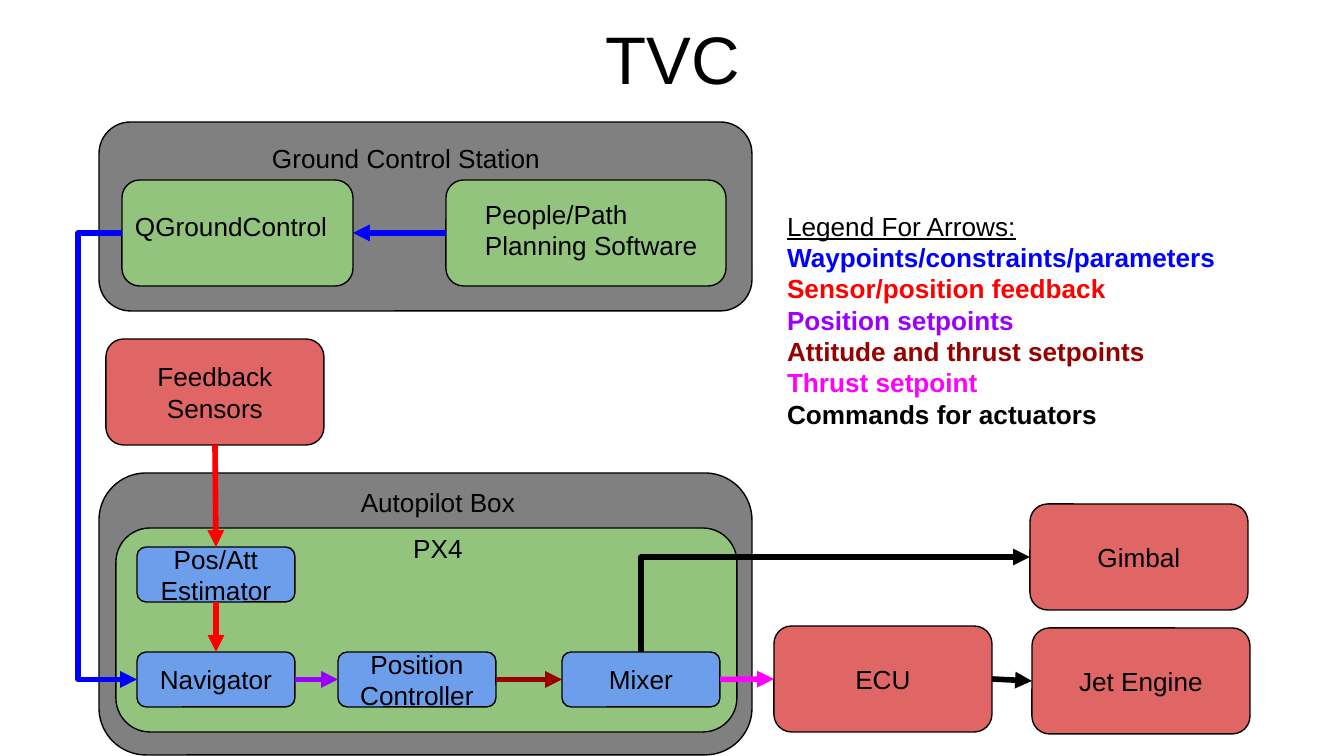
from lxml import etree
from pptx import Presentation
from pptx.dml.color import RGBColor
from pptx.enum.shapes import MSO_CONNECTOR, MSO_SHAPE
from pptx.enum.text import MSO_ANCHOR, MSO_AUTO_SIZE, PP_ALIGN
from pptx.oxml.ns import qn
from pptx.util import Pt

ROUNDED = MSO_SHAPE.ROUNDED_RECTANGLE
STRAIGHT, ELBOW = MSO_CONNECTOR.STRAIGHT, MSO_CONNECTOR.ELBOW
TOP_ANCHOR, MIDDLE_ANCHOR = MSO_ANCHOR.TOP, MSO_ANCHOR.MIDDLE
ALIGN_LEFT, ALIGN_CENTER = PP_ALIGN.LEFT, PP_ALIGN.CENTER
NO_AUTOFIT = MSO_AUTO_SIZE.NONE
TOP, LEFT, BOTTOM, RIGHT = range(4)

FONT = "Arial"
BLACK, GRAY, GREEN = "000000", "808080", "93C47D"
CORAL, SKY = "E06666", "6D9EEB"
BLUE, RED, PURPLE = "0000FF", "FF0000", "9900FF"
MAROON, MAGENTA = "980000", "FF00FF"
DEVICE_SIZE = (218, 106)
MODULE_SIZE = (158, 55)
MODULE_ROW = 652

LEGEND = [
    ("Waypoints/constraints/parameters", BLUE),
    ("Sensor/position feedback", RED),
    ("Position setpoints", PURPLE),
    ("Attitude and thrust setpoints", MAROON),
    ("Thrust setpoint", MAGENTA),
    ("Commands for actuators", BLACK),
]


def px(value):
    """Turn pixels into EMU."""
    return round(value * 914400 / 134.4)


def color(value):
    """Turn a hex string into a colour."""
    return RGBColor.from_string(value)


def add_run(paragraph, text, size=14, fill=BLACK, bold=False, underline=False):
    """Add one formatted run to a paragraph."""
    run = paragraph.add_run()
    run.text = text
    font = run.font
    font.name, font.size = FONT, Pt(size)
    font.bold, font.underline = bold, underline
    font.color.rgb = color(fill)


def prepare_frame(shape, anchor=TOP_ANCHOR):
    """Set wrapping, insets and anchor, and return the text frame."""
    frame = shape.text_frame
    frame.word_wrap = True
    frame.auto_size = NO_AUTOFIT
    frame.vertical_anchor = anchor
    frame.margin_left = frame.margin_right = px(13)
    frame.margin_top = frame.margin_bottom = px(13)
    return frame


def add_box(slide, position, size, fill, text=""):
    """Add a rounded box with an optional centred label."""
    shape = slide.shapes.add_shape(ROUNDED, *map(px, position + size))
    shape.shadow.inherit = False
    shape.fill.solid()
    shape.fill.fore_color.rgb = color(fill)
    shape.line.color.rgb = color(BLACK)
    shape.line.width = Pt(0.75)
    if text:
        paragraph = prepare_frame(shape, MIDDLE_ANCHOR).paragraphs[0]
        paragraph.alignment = ALIGN_CENTER
        add_run(paragraph, text)
    return shape


def add_label(slide, position, size, text, alignment=ALIGN_LEFT):
    """Add a one-paragraph text box."""
    box = slide.shapes.add_textbox(*map(px, position + size))
    paragraph = prepare_frame(box).paragraphs[0]
    paragraph.alignment = alignment
    add_run(paragraph, text)


def add_arrow(slide, start, start_side, end, end_side, stroke, kind=STRAIGHT):
    """Join two boxes with an arrow."""
    connector = slide.shapes.add_connector(kind, 0, 0, 0, 0)
    connector.begin_connect(start, start_side)
    connector.end_connect(end, end_side)
    connector.line.color.rgb = color(stroke)
    connector.line.width = Pt(3)
    properties = connector._element.spPr
    line = properties.find(qn("a:ln"))
    etree.SubElement(line, qn("a:tailEnd"), type="triangle")
    etree.SubElement(properties, qn("a:effectLst"))
    return connector


def route_around_left(connector, middle):
    """Move the middle leg of an elbow arrow to a given x."""
    ratio = (px(middle) - connector.begin_x) / connector.width
    geometry = connector._element.spPr.find(qn("a:prstGeom"))
    guides = geometry.find(qn("a:avLst"))
    if guides is None:
        guides = etree.SubElement(geometry, qn("a:avLst"))
    formula = f"val {round(ratio * 100000)}"
    etree.SubElement(guides, qn("a:gd"), name="adj1", fmla=formula)


def route_up_then_right(connector):
    """Give an elbow arrow a single corner, going up and then right."""
    center_x = connector.left + connector.width // 2
    center_y = connector.top + connector.height // 2
    width, height = connector.height, connector.width
    connector.left, connector.top = center_x - width // 2, center_y - height // 2
    connector.width, connector.height = width, height
    properties = connector._element.spPr
    transform = properties.find(qn("a:xfrm"))
    transform.attrib.pop("flipV", None)
    transform.set("rot", str(270 * 60000))
    properties.find(qn("a:prstGeom")).set("prst", "bentConnector2")


def add_title(slide):
    """Place and format the title."""
    title = slide.shapes.title
    title.left, title.top, title.width, title.height = map(px, (288, 4, 769, 101))
    paragraph = prepare_frame(title).paragraphs[0]
    paragraph.alignment = ALIGN_CENTER
    add_run(paragraph, "TVC", size=36)


def add_legend(slide):
    """Add the legend with one coloured line per arrow meaning."""
    box = slide.shapes.add_textbox(*map(px, (774, 197, 491, 227)))
    frame = prepare_frame(box)
    add_run(frame.paragraphs[0], "Legend For Arrows:", underline=True)
    for text, fill in LEGEND:
        add_run(frame.add_paragraph(), text, fill=fill, bold=True)


def main():
    """Build the control diagram slide."""
    presentation = Presentation()
    presentation.slide_width, presentation.slide_height = px(1344), px(756)
    slide = presentation.slides.add_slide(presentation.slide_layouts[5])
    add_title(slide)

    add_box(slide, (99, 122), (653, 189), GRAY)
    add_label(slide, (259, 129), (316, 42), "Ground Control Station")
    ground_control = add_box(slide, (122, 180), (231, 106), GREEN)
    planning = add_box(slide, (446, 180), (280, 106), GREEN)
    add_label(slide, (122, 197), (231, 71), "QGroundControl")
    add_label(slide, (472, 185), (254, 71), "People/Path Planning Software")

    add_box(slide, (99, 473), (653, 282), GRAY)
    add_box(slide, (116, 528), (621, 204), GREEN)
    add_label(slide, (339, 473), (198, 55), "Autopilot Box", ALIGN_CENTER)
    add_label(slide, (329, 519), (218, 42), "PX4", ALIGN_CENTER)

    sensors = add_box(slide, (106, 339), DEVICE_SIZE, CORAL, "Feedback Sensors")
    gimbal = add_box(slide, (1030, 504), DEVICE_SIZE, CORAL, "Gimbal")
    ecu = add_box(slide, (774, 626), DEVICE_SIZE, CORAL, "ECU")
    engine = add_box(slide, (1032, 628), DEVICE_SIZE, CORAL, "Jet Engine")
    estimator = add_box(slide, (137, 547), MODULE_SIZE, SKY, "Pos/Att Estimator")
    navigator, controller, mixer = [
        add_box(slide, (left, MODULE_ROW), MODULE_SIZE, SKY, text)
        for left, text in [(137, "Navigator"), (338, "Position Controller"), (562, "Mixer")]
    ]

    add_arrow(slide, planning, LEFT, ground_control, RIGHT, BLUE)
    add_arrow(slide, sensors, BOTTOM, estimator, TOP, RED)
    add_arrow(slide, estimator, BOTTOM, navigator, TOP, RED)
    add_arrow(slide, navigator, RIGHT, controller, LEFT, PURPLE)
    add_arrow(slide, controller, RIGHT, mixer, LEFT, MAROON)
    add_arrow(slide, mixer, RIGHT, ecu, LEFT, MAGENTA)
    add_arrow(slide, ecu, RIGHT, engine, LEFT, BLACK)
    waypoints = add_arrow(slide, ground_control, LEFT, navigator, LEFT, BLUE, ELBOW)
    route_around_left(waypoints, 78)
    commands = add_arrow(slide, mixer, TOP, gimbal, LEFT, BLACK, ELBOW)
    route_up_then_right(commands)

    add_legend(slide)
    presentation.save("out.pptx")


if __name__ == "__main__":
    main()
